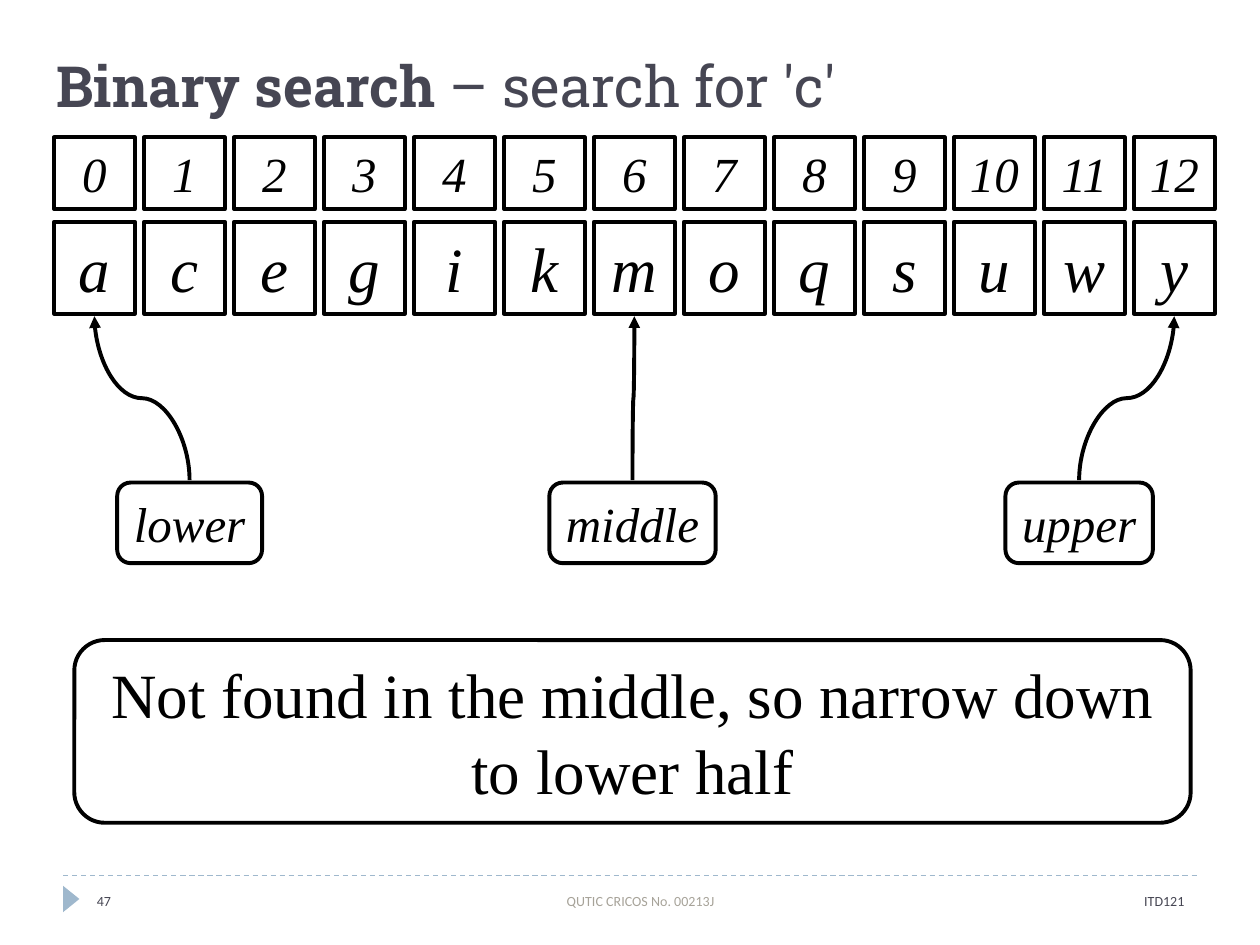
from pptx import Presentation
from pptx.dml.color import RGBColor
from pptx.enum import dml, shapes, text
from pptx.oxml import ns, xmlchemy
from pptx.util import Inches, Pt

INK = RGBColor(0x00, 0x00, 0x00)
SLATE = RGBColor(0x46, 0x46, 0x53)
GREY = RGBColor(0xA7, 0xA3, 0x99)
BLUE = RGBColor(0x9F, 0xB8, 0xCD)
SERIF = "Times New Roman"
SHAPE = shapes.MSO_SHAPE
LEFT, MID, RIGHT = text.PP_ALIGN.LEFT, text.PP_ALIGN.CENTER, text.PP_ALIGN.RIGHT

title = [("Binary search ", True), ("– search for 'c'", False)]
rows = [
    (1.09, 0.57, 28, [str(n) for n in range(13)]),
    (1.76, 0.73, 36, "acegikmoqsuwy"),
]
marks = [
    ("lower", 0, 0.93, 1.15),
    ("middle", 6, 4.36, 1.32),
    ("upper", 12, 7.98, 1.17),
]
note = "Not found in the middle, so narrow down to lower half"
feet = [
    ("47", 0.67, 2.17, LEFT, SLATE),
    ("QUTIC CRICOS No. 00213J", 3.17, 3.83, MID, GREY),
    ("ITD121", 7, 2.5, RIGHT, SLATE),
]
START, END, CELL = 0.43, 9.0, 0.64
STEP = (END - START) / 12
TIP, TAIL = 2.51, 3.81

deck = Presentation()
deck.slide_width, deck.slide_height = Inches(10), Inches(7.5)
slide = deck.slides.add_slide(deck.slide_layouts[6])
parts = slide.shapes


def style(para, face, size, color, align=LEFT):
    para.alignment = align
    para.font.name = face
    para.font.size = Pt(size)
    para.font.color.rgb = color


def label(x, y, w, h, anchor):
    frame = parts.add_textbox(*map(Inches, (x, y, w, h))).text_frame
    frame.word_wrap = True
    frame.vertical_anchor = anchor
    return frame.paragraphs[0]


def box(kind, x, y, w, h, words, size, slant=True, wrap=True):
    shape = parts.add_shape(kind, *map(Inches, (x, y, w, h)))
    shape.shadow.inherit = False
    shape.fill.background()
    shape.line.color.rgb = INK
    shape.line.width = Pt(2.25)
    frame = shape.text_frame
    frame.word_wrap = wrap
    frame.vertical_anchor = text.MSO_ANCHOR.MIDDLE
    para = frame.paragraphs[0]
    para.text = words
    style(para, SERIF, size, INK, MID)
    para.font.italic = slant


def link(kind, x1, y1, x2, y2, color, width):
    line = parts.add_connector(kind, *map(Inches, (x1, y1, x2, y2)))
    line.line.color.rgb = color
    line.line.width = Pt(width)
    xmlchemy.OxmlElement("a:effectLst")
    line._element.spPr.append(xmlchemy.OxmlElement("a:effectLst"))
    return line


def arrow(x1, x2):
    cx, cy = (x1 + x2) / 2, (TIP + TAIL) / 2
    side = 1 if x2 < x1 else -1
    dx, dy = abs(x2 - x1) / 2, (TAIL - TIP) / 2
    line = link(shapes.MSO_CONNECTOR.CURVE, cx + side * dy, cy - dx,
                cx - side * dy, cy + dx, INK, 2.25)
    turn = 90 if side > 0 else 270
    line._element.spPr.find(ns.qn("a:xfrm")).set("rot", str(turn * 60000))
    head = xmlchemy.OxmlElement("a:tailEnd")
    head.set("type", "triangle")
    line.line._get_or_add_ln().append(head)


rule = link(shapes.MSO_CONNECTOR.STRAIGHT, 0.5, 6.95, 9.5, 6.95, BLUE, 0.75)
rule.line.dash_style = dml.MSO_LINE.DASH
flag = parts.add_shape(SHAPE.ISOSCELES_TRIANGLE,
                       *map(Inches, (0.46, 7.07, 0.21, 0.13)))
flag.rotation = 90
flag.shadow.inherit = False
flag.fill.solid()
flag.fill.fore_color.rgb = BLUE
flag.line.fill.background()

for words, x, w, align, color in feet:
    para = label(x, 6.95, w, 0.4, text.MSO_ANCHOR.MIDDLE)
    para.text = words
    style(para, "Calibri", 8, color, align)

para = label(0.35, 0.36, 9, 0.63, text.MSO_ANCHOR.BOTTOM)
for words, bold in title:
    run = para.add_run()
    run.text = words
    run.font.bold = bold
style(para, "Roboto Slab", 32.4, SLATE)

for y, h, size, items in rows:
    for i, item in enumerate(items):
        box(SHAPE.RECTANGLE, START + i * STEP, y, CELL, h, item, size)

for name, slot, x, w in marks:
    arrow(x + w / 2, START + slot * STEP + CELL / 2)
    box(SHAPE.FLOWCHART_ALTERNATE_PROCESS, x, 3.83, w, 0.64, name, 28, wrap=False)

box(SHAPE.FLOWCHART_ALTERNATE_PROCESS, 0.59, 5.08, 8.86, 1.45, note, 36, slant=False)

deck.save("out.pptx")
